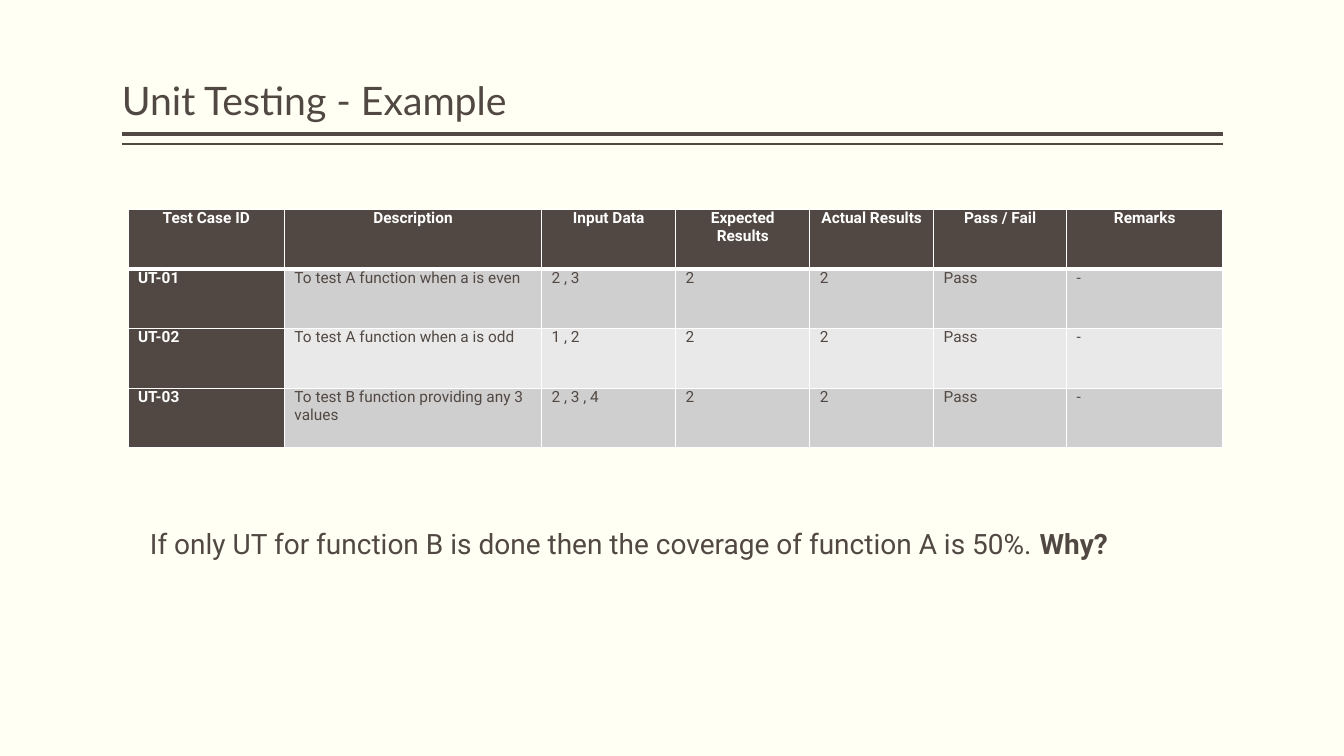
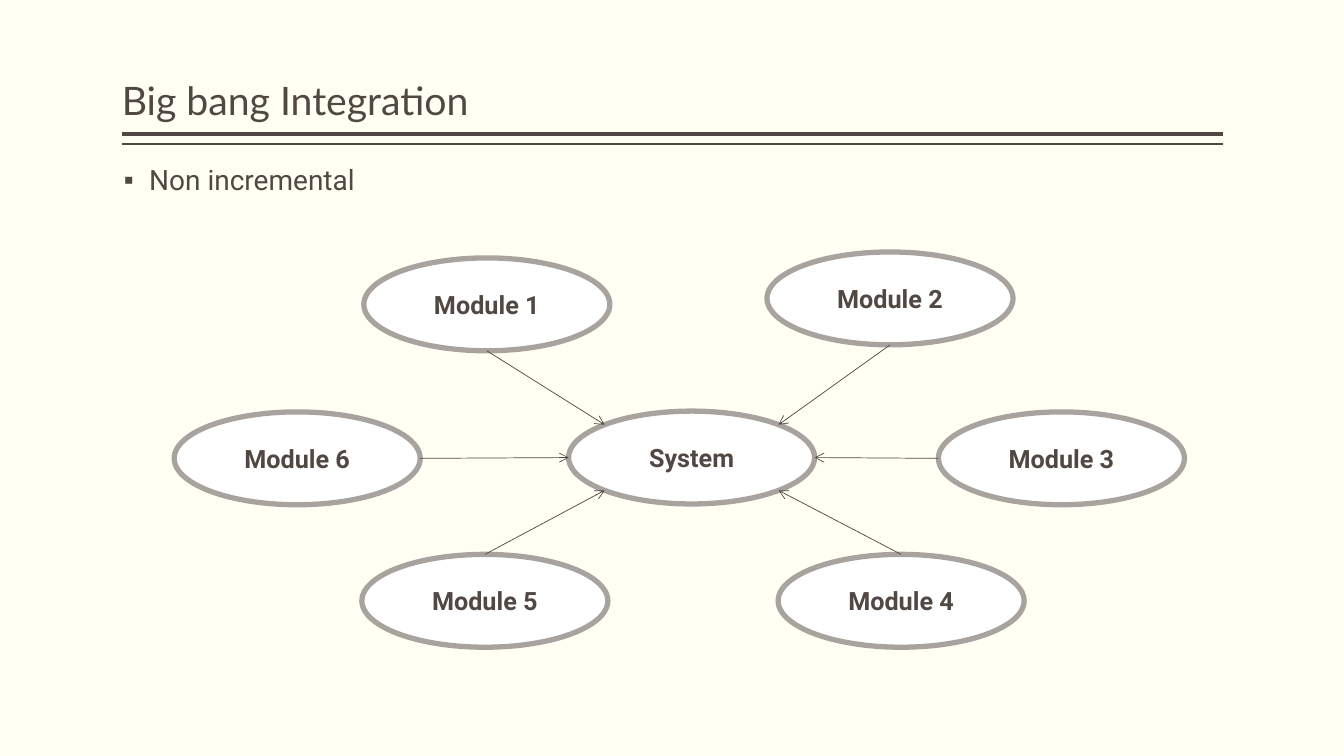
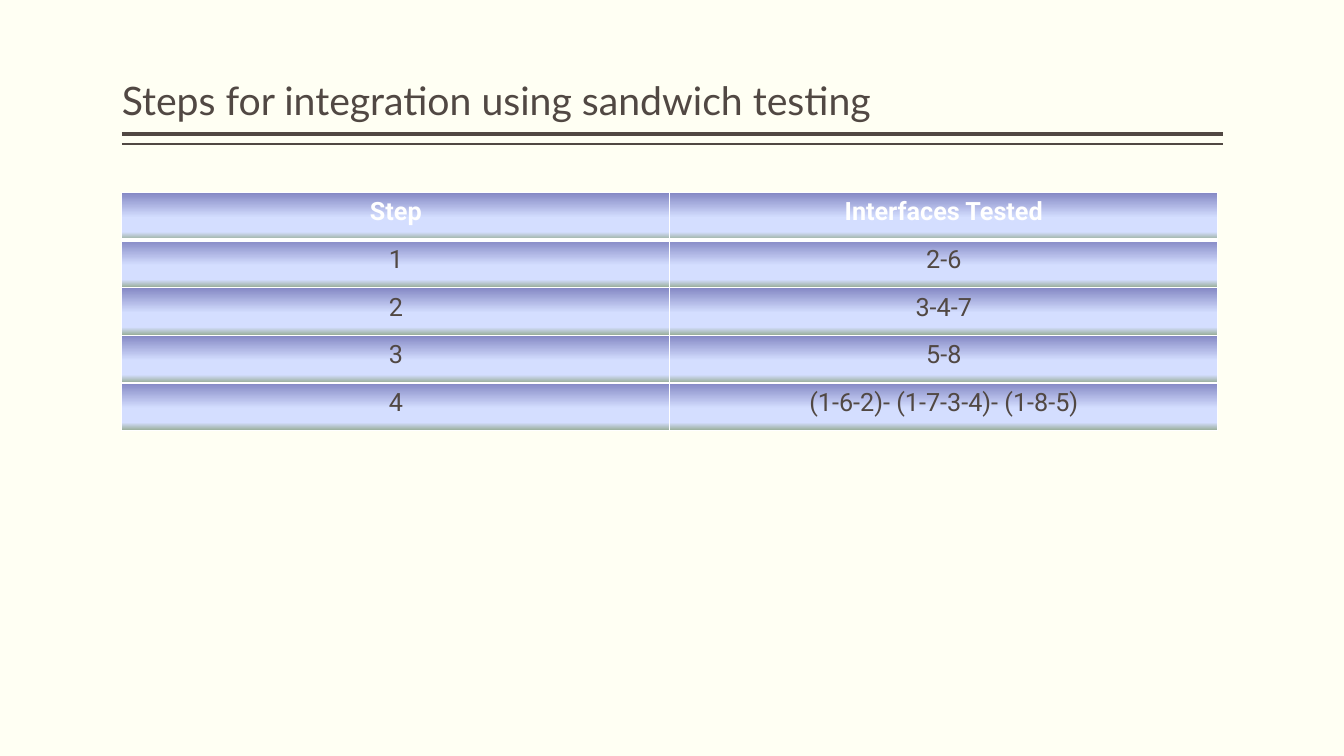
from dataclasses import dataclass
from math import sqrt

from lxml import etree
from pptx import Presentation
from pptx.dml.color import RGBColor
from pptx.enum.shapes import MSO_CONNECTOR, MSO_SHAPE
from pptx.enum.text import MSO_ANCHOR, MSO_AUTO_SIZE, PP_ALIGN
from pptx.oxml.ns import qn
from pptx.util import Cm, Pt

STRAIGHT = MSO_CONNECTOR.STRAIGHT
OVAL = MSO_SHAPE.OVAL
TOP, MIDDLE, BOTTOM = MSO_ANCHOR.TOP, MSO_ANCHOR.MIDDLE, MSO_ANCHOR.BOTTOM
NO_FIT = MSO_AUTO_SIZE.NONE
LEFT, CENTER, JUSTIFY = PP_ALIGN.LEFT, PP_ALIGN.CENTER, PP_ALIGN.JUSTIFY


@dataclass(frozen=True)
class Theme:
    paper: str = "FFFFF3"
    ink: str = "514843"
    white: str = "FFFFFF"
    ring: str = "A8A39E"
    arrow: str = "504641"
    dark_band: str = "D0CFCF"
    light_band: str = "E9E9E9"
    fade: tuple = ((0, "8488C4"), (53, "D4DEFF"), (83, "D4DEFF"), (100, "96AB94"))
    head_font: str = "Lato"
    body_font: str = "Roboto"
    head_size: float = 28
    body_size: float = 20
    label_size: float = 18
    small_size: float = 11


@dataclass(frozen=True)
class Box:
    left: float
    top: float
    width: float
    height: float

    def point(self, across: float, down: float) -> tuple[float, float]:
        return (self.left + self.width * (1 + across) / 2,
                self.top + self.height * (1 + down) / 2)


@dataclass(frozen=True)
class Rule:
    top: float
    weight: float


@dataclass(frozen=True)
class Module:
    name: str
    left: float
    top: float
    leave: tuple[float, float]
    enter: tuple[float, float]


@dataclass(frozen=True)
class Grid:
    left: float
    top: float
    widths: tuple
    height: float
    rows: tuple
    size: float
    pad: tuple[float, float]
    align: PP_ALIGN
    side_head: bool = False
    faded: bool = False


THEME = Theme()
TITLE = Box(3.07, 0.2, 27.74, 3.05)
BODY = Box(3.12, 4.06, 27.69, 13.97)
NOTE = Box(3.3, 13.13, 27.46, 4.88)
RULES = (Rule(3.38, 3), Rule(3.63, 1))

OVAL_W, OVAL_H = 6.2, 2.34
HUB = Box(14.33, 10.36, OVAL_W, OVAL_H)
DIAG = 1 / sqrt(2)
MODULES = (
    Module("Module 1", 9.17, 6.5, (0, 1), (-DIAG, -DIAG)),
    Module("Module 2", 19.33, 6.35, (0, 1), (DIAG, -DIAG)),
    Module("Module 3", 23.65, 10.38, (-1, 0), (1, 0)),
    Module("Module 4", 19.61, 13.97, (0, -1), (DIAG, DIAG)),
    Module("Module 5", 9.12, 13.97, (0, -1), (-DIAG, DIAG)),
    Module("Module 6", 4.39, 10.38, (1, 0), (-1, 0)),
)

CASES = Grid(
    3.23, 5.28, (3.94, 6.48, 3.38, 3.38, 3.12, 3.35, 3.94), 1.5,
    (
        ("Test Case ID", "Description", "Input Data", "Expected Results",
         "Actual Results", "Pass / Fail", "Remarks"),
        ("UT-01", "To test A function when a is even", "2 , 3", "2", "2", "Pass", "-"),
        ("UT-02", "To test A function when a is odd", "1 , 2", "2", "2", "Pass", "-"),
        ("UT-03", "To test B function providing any 3 values", "2 , 3 , 4",
         "2", "2", "Pass", "-"),
    ),
    THEME.small_size, (0.25, 0), LEFT, side_head=True,
)
STEPS = Grid(
    3.07, 4.85, (13.81, 13.81), 1.2,
    (
        ("Step", "Interfaces Tested"),
        ("1", "2-6"),
        ("2", "3-4-7"),
        ("3", "5-8"),
        ("4", "(1-6-2)- (1-7-3-4)- (1-8-5)"),
    ),
    THEME.label_size, (0.33, 0.13), CENTER, faded=True,
)


def rgb(code: str) -> RGBColor:
    return RGBColor.from_string(code)


def style(run, size: float, color: str = THEME.ink, bold: bool = False,
          font: str = THEME.body_font) -> None:
    run.font.name = font
    run.font.size = Pt(size)
    run.font.bold = bold
    run.font.color.rgb = rgb(color)


def place(shape, box: Box) -> None:
    shape.left, shape.top = Cm(box.left), Cm(box.top)
    shape.width, shape.height = Cm(box.width), Cm(box.height)


def set_frame(shape, text: str, anchor: MSO_ANCHOR):
    frame = shape.text_frame
    frame.text = text
    frame.word_wrap = True
    frame.auto_size = NO_FIT
    frame.vertical_anchor = anchor
    return frame


def add_line(slide, start: tuple, end: tuple, color: str, weight: float,
             arrow: bool = False) -> None:
    line = slide.shapes.add_connector(STRAIGHT, *(Cm(n) for n in (*start, *end)))
    line.line.color.rgb = rgb(color)
    line.line.width = Pt(weight)
    if arrow:
        etree.SubElement(line.line._get_or_add_ln(), qn("a:tailEnd"), type="arrow")
    etree.SubElement(line._element.spPr, qn("a:effectLst"))


def fill_holder(shape, box: Box, text: str, anchor: MSO_ANCHOR):
    place(shape, box)
    frame = set_frame(shape, text, anchor)
    frame.margin_left = frame.margin_right = 0
    frame.margin_top = frame.margin_bottom = Cm(0.13)
    para = frame.paragraphs[0]
    para.alignment = LEFT
    para.line_spacing = 0.9
    para.space_before = Pt(0)
    return para


def new_slide(deck, title: str, layout: int = 5):
    slide = deck.slides.add_slide(deck.slide_layouts[layout])
    for rule in RULES:
        add_line(slide, (TITLE.left, rule.top),
                 (TITLE.left + TITLE.width, rule.top), THEME.ink, rule.weight)
    para = fill_holder(slide.shapes.title, TITLE, title, BOTTOM)
    style(para.runs[0], THEME.head_size, font=THEME.head_font)
    return slide


def add_list(slide, text: str) -> None:
    para = fill_holder(slide.placeholders[1], BODY, text, TOP)
    props = para._p.get_or_add_pPr()
    props.set("marL", str(Cm(0.64)))
    props.set("indent", str(-Cm(0.64)))
    etree.SubElement(props, qn("a:buFont"), typeface="Arial")
    etree.SubElement(props, qn("a:buChar"), char="▪")
    style(para.runs[0], THEME.body_size)


def add_note(slide, text: str, strong: str) -> None:
    shape = slide.shapes.add_textbox(0, 0, 0, 0)
    place(shape, NOTE)
    para = set_frame(shape, text, TOP).paragraphs[0]
    para.alignment = JUSTIFY
    para._p.get_or_add_pPr().set("marL", str(Cm(0.23)))
    para.add_run().text = strong
    for run, bold in zip(para.runs, (False, True)):
        style(run, THEME.body_size, bold=bold)


def add_oval(slide, box: Box, name: str) -> None:
    shape = slide.shapes.add_shape(OVAL, 0, 0, 0, 0)
    place(shape, box)
    shape.shadow.inherit = False
    shape.fill.solid()
    shape.fill.fore_color.rgb = rgb(THEME.white)
    shape.line.color.rgb = rgb(THEME.ring)
    shape.line.width = Pt(3.78)
    para = set_frame(shape, name, MIDDLE).paragraphs[0]
    para.alignment = CENTER
    style(para.runs[0], THEME.label_size, bold=True)


def add_color(parent, code: str) -> None:
    etree.SubElement(parent, qn("a:srgbClr"), val=code)


def add_edge(props, side: str, weight: float) -> None:
    edge = etree.SubElement(props, qn(f"a:ln{side}"), w=str(Pt(weight)))
    add_color(etree.SubElement(edge, qn("a:solidFill")), THEME.white)


def add_fade(props) -> None:
    fade = etree.SubElement(props, qn("a:gradFill"), rotWithShape="1")
    stops = etree.SubElement(fade, qn("a:gsLst"))
    for spot, code in THEME.fade:
        add_color(etree.SubElement(stops, qn("a:gs"), pos=str(spot * 1000)), code)
    etree.SubElement(fade, qn("a:lin"), ang="5400000", scaled="0")


def fill_cell(cell, grid: Grid, row: int, col: int) -> None:
    head = row == 0
    strong = head or (grid.side_head and col == 0)
    cell.margin_left = cell.margin_right = Cm(grid.pad[0])
    cell.margin_top = cell.margin_bottom = Cm(grid.pad[1])
    cell.vertical_anchor = TOP
    cell.text = grid.rows[row][col]
    para = cell.text_frame.paragraphs[0]
    para.alignment = CENTER if head else grid.align
    style(para.runs[0], grid.size, THEME.white if strong else THEME.ink, strong)
    props = cell._tc.get_or_add_tcPr()
    for side, weight in (("L", 1), ("R", 1), ("T", 3 if row == 1 else 1),
                         ("B", 3 if head else 1)):
        add_edge(props, side, weight)
    if grid.faded:
        add_fade(props)
    else:
        band = THEME.dark_band if row % 2 else THEME.light_band
        cell.fill.solid()
        cell.fill.fore_color.rgb = rgb(THEME.ink if strong else band)


def add_grid(slide, grid: Grid) -> None:
    count = len(grid.rows)
    table = slide.shapes.add_table(
        count, len(grid.widths), Cm(grid.left), Cm(grid.top),
        Cm(sum(grid.widths)), Cm(grid.height * count)).table
    table.horz_banding = False
    for col, width in zip(table.columns, grid.widths):
        col.width = Cm(width)
    for row, line in enumerate(table.rows):
        line.height = Cm(grid.height)
        for col, cell in enumerate(line.cells):
            fill_cell(cell, grid, row, col)


def add_cases(deck) -> None:
    slide = new_slide(deck, "Unit Testing - Example")
    add_grid(slide, CASES)
    add_note(slide, "If only UT for function B is done then the coverage "
             "of function A is 50%. ", "Why?")


def add_big_bang(deck) -> None:
    slide = new_slide(deck, "Big bang Integration", layout=1)
    add_list(slide, "Non incremental")
    add_oval(slide, HUB, "System")
    for part in MODULES:
        box = Box(part.left, part.top, OVAL_W, OVAL_H)
        add_oval(slide, box, part.name)
        add_line(slide, box.point(*part.leave), HUB.point(*part.enter),
                 THEME.arrow, 0.5, arrow=True)


def add_steps(deck) -> None:
    slide = new_slide(deck, "Steps for integration using sandwich testing")
    add_grid(slide, STEPS)


def main() -> None:
    deck = Presentation()
    deck.slide_width, deck.slide_height = Cm(33.87), Cm(19.05)
    paper = deck.slide_master.background.fill
    paper.solid()
    paper.fore_color.rgb = rgb(THEME.paper)
    add_cases(deck)
    add_big_bang(deck)
    add_steps(deck)
    deck.save("out.pptx")


if __name__ == "__main__":
    main()
